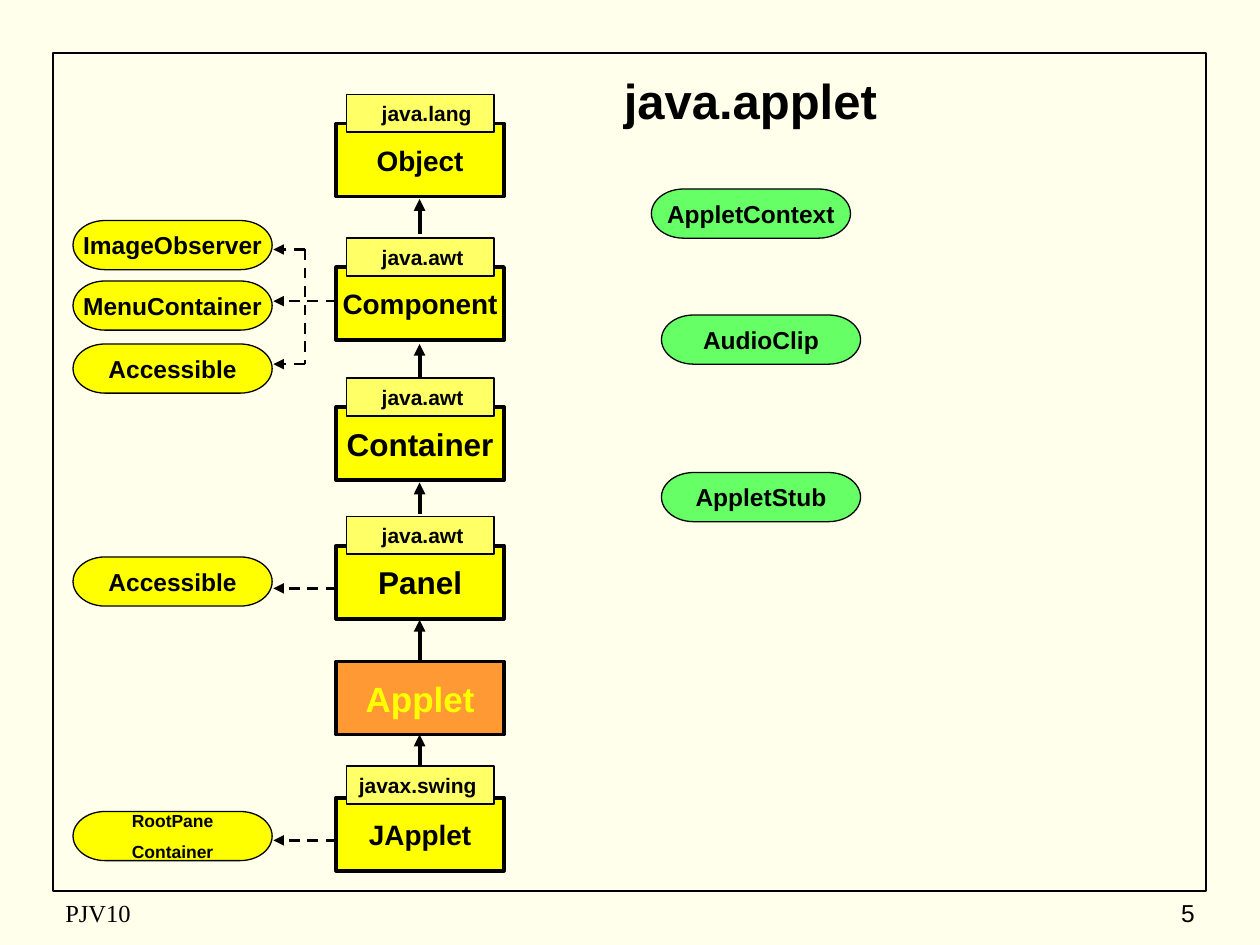
from pptx import Presentation
from pptx.dml.color import RGBColor
from pptx.enum.dml import MSO_LINE as Dash
from pptx.enum.shapes import MSO_CONNECTOR as Link, MSO_SHAPE as Shape
from pptx.enum.text import MSO_ANCHOR as Anchor, PP_ALIGN as Align
from pptx.oxml.ns import qn
from pptx.util import Inches, Pt
from lxml.etree import SubElement

BLACK = RGBColor(0, 0, 0)
CREAM = RGBColor(0xFF, 0xFF, 0xEB)
YELLOW = RGBColor(0xFF, 0xFF, 0)
PALE = RGBColor(0xFF, 0xFF, 0x66)
ORANGE = RGBColor(0xFF, 0x99, 0x33)
GREEN = RGBColor(0x66, 0xFF, 0x66)


class Chart:
    font = "Arial"
    box_x, box_w, box_h = 2.67, 1.33, 0.58
    tag_x, tag_w, tag_h = 2.75, 1.17, 0.3
    pill_w, pill_h = 1.58, 0.39
    mid_x = 3.33

    def __init__(self, slide):
        self.slide = slide
        fill = slide.background.fill
        fill.solid()
        fill.fore_color.rgb = CREAM

    def words(self, item, text, size, color=BLACK, bold=True,
              align=Align.CENTER, font=None, wrap=False):
        frame = item.text_frame
        frame.text = text
        frame.word_wrap = wrap
        frame.vertical_anchor = Anchor.MIDDLE
        for num, para in enumerate(frame.paragraphs):
            para.alignment = align
            if num:
                para.space_before = Pt(6.2)
            for run in para.runs:
                face = run.font
                face.name = font or self.font
                face.size = Pt(size)
                face.bold = bold
                face.color.rgb = color

    def shape(self, kind, x, y, w, h, fill, width):
        item = self.slide.shapes.add_shape(
            kind, Inches(x), Inches(y), Inches(w), Inches(h))
        item.shadow.inherit = False
        if fill is None:
            item.fill.background()
        else:
            item.fill.solid()
            item.fill.fore_color.rgb = fill
        item.line.color.rgb = BLACK
        item.line.width = Pt(width)
        return item

    def frame(self):
        self.shape(Shape.RECTANGLE, 0.42, 0.42, 9.15, 6.65, None, 1)

    def label(self, text, x, y, w, h, size, **style):
        item = self.slide.shapes.add_textbox(
            Inches(x), Inches(y), Inches(w), Inches(h))
        self.words(item, text, size, wrap=True, **style)

    def box(self, text, y, size, fill=YELLOW, color=BLACK):
        item = self.shape(Shape.RECTANGLE, self.box_x, y,
                          self.box_w, self.box_h, fill, 2.25)
        self.words(item, text, size, color)

    def tag(self, text, y, inset):
        item = self.shape(Shape.RECTANGLE, self.tag_x, y,
                          self.tag_w, self.tag_h, PALE, 1)
        self.words(item, text, 12, align=Align.LEFT, wrap=True)
        item.text_frame.margin_left = Inches(inset)
        item.text_frame.margin_right = 0

    def pill(self, text, x, y, fill, size=14):
        item = self.shape(Shape.FLOWCHART_TERMINATOR, x, y,
                          self.pill_w, self.pill_h, fill, 0.75)
        self.words(item, text, size)

    def line(self, x1, y1, x2, y2, width=1.5, dash=True, arrow=True):
        item = self.slide.shapes.add_connector(
            Link.STRAIGHT, Inches(x1), Inches(y1), Inches(x2), Inches(y2))
        item.line.color.rgb = BLACK
        item.line.width = Pt(width)
        if dash:
            item.line.dash_style = Dash.DASH
        props = item._element.spPr
        if arrow:
            SubElement(props.find(qn("a:ln")), qn("a:tailEnd"),
                       type="triangle")
        SubElement(props, qn("a:effectLst"))

    def climb(self, low, high):
        self.line(self.mid_x, low, self.mid_x, high, 2.25, dash=False)


def main():
    deck = Presentation()
    deck.slide_width, deck.slide_height = Inches(10), Inches(7.5)
    chart = Chart(deck.slides.add_slide(deck.slide_layouts[6]))

    chart.frame()
    chart.label("java.applet", 4.58, 0.5, 2.75, 0.58, 28)

    for low, high in [(1.86, 1.58), (3, 2.73), (4.08, 3.83),
                      (5.25, 4.92), (6.08, 5.83)]:
        chart.climb(low, high)

    for name, y, size, pack, top, inset in [
            ("Object", 0.98, 16, "java.lang", 0.75, 0.28),
            ("Component", 2.12, 16, "java.awt", 1.89, 0.28),
            ("Container", 3.23, 18, "java.awt", 3, 0.28),
            ("Panel", 4.33, 18, "java.awt", 4.1, 0.28),
            ("JApplet", 6.33, 16, "javax.swing", 6.08, 0.1)]:
        chart.box(name, y, size)
        chart.tag(pack, top, inset)
    chart.box("Applet", 5.25, 20, ORANGE, YELLOW)

    for name, y, size in [("ImageObserver", 1.75, 14),
                          ("MenuContainer", 2.23, 14),
                          ("Accessible", 2.73, 14),
                          ("Accessible", 4.42, 14),
                          ("RootPane\nContainer", 6.44, 10)]:
        chart.pill(name, 0.58, y, YELLOW, size)

    for name, x, y in [("AppletContext", 5.17, 1.5),
                       ("AudioClip", 5.25, 2.5),
                       ("AppletStub", 5.25, 3.75)]:
        chart.pill(name, x, y, GREEN)

    for x, y in [(2.42, 1.98), (2.67, 2.39), (2.42, 2.89),
                 (2.67, 4.67), (2.67, 6.67)]:
        chart.line(x, y, 2.17, y)
    chart.line(2.42, 1.98, 2.42, 2.89, arrow=False)

    chart.label("PJV10", 0.42, 7.08, 3.17, 0.33, 14, bold=False,
                align=Align.LEFT, font="Times New Roman")
    chart.label("5", 7.5, 7.08, 2.08, 0.33, 14, bold=False,
                align=Align.RIGHT)
    deck.save("out.pptx")


if __name__ == "__main__":
    main()
